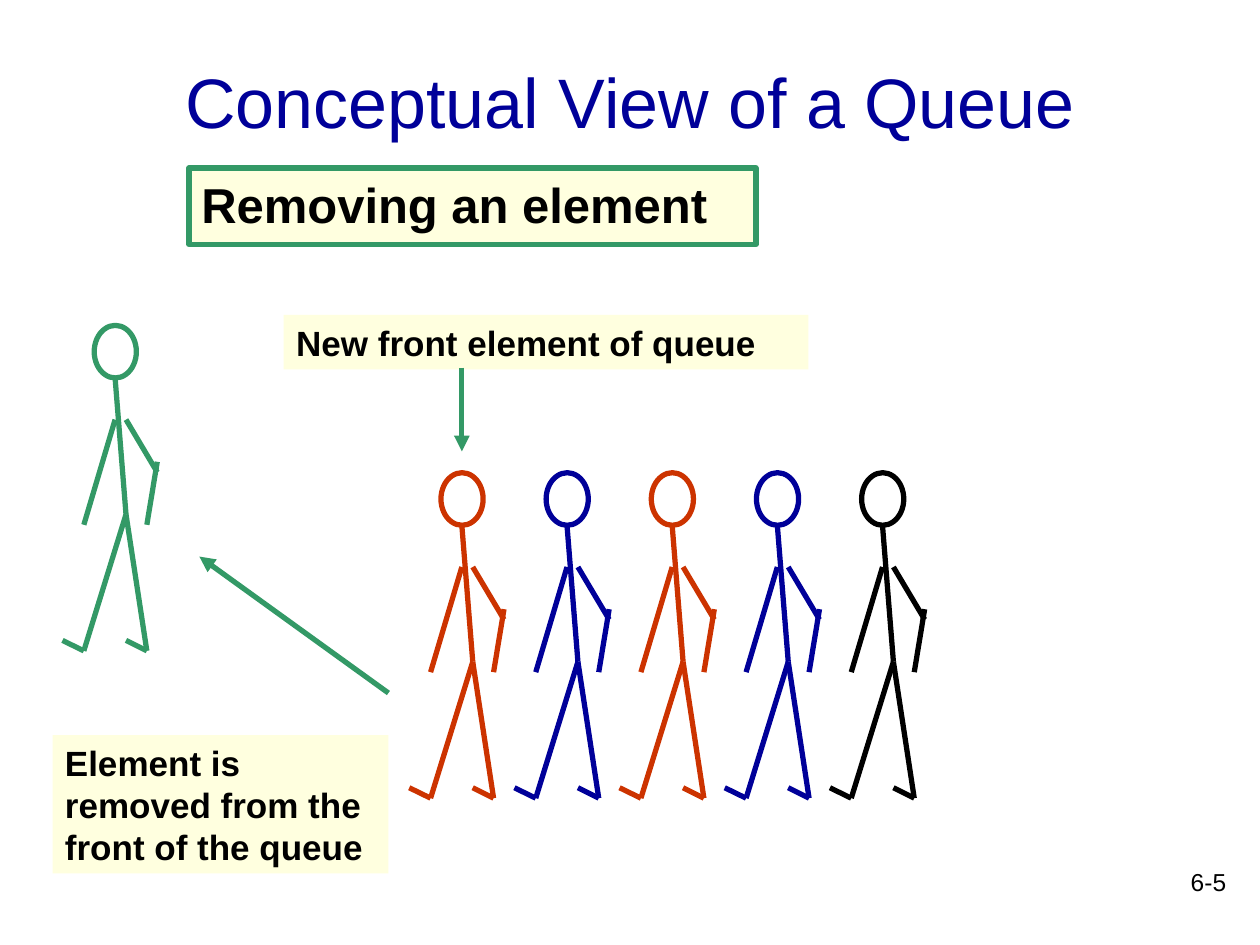
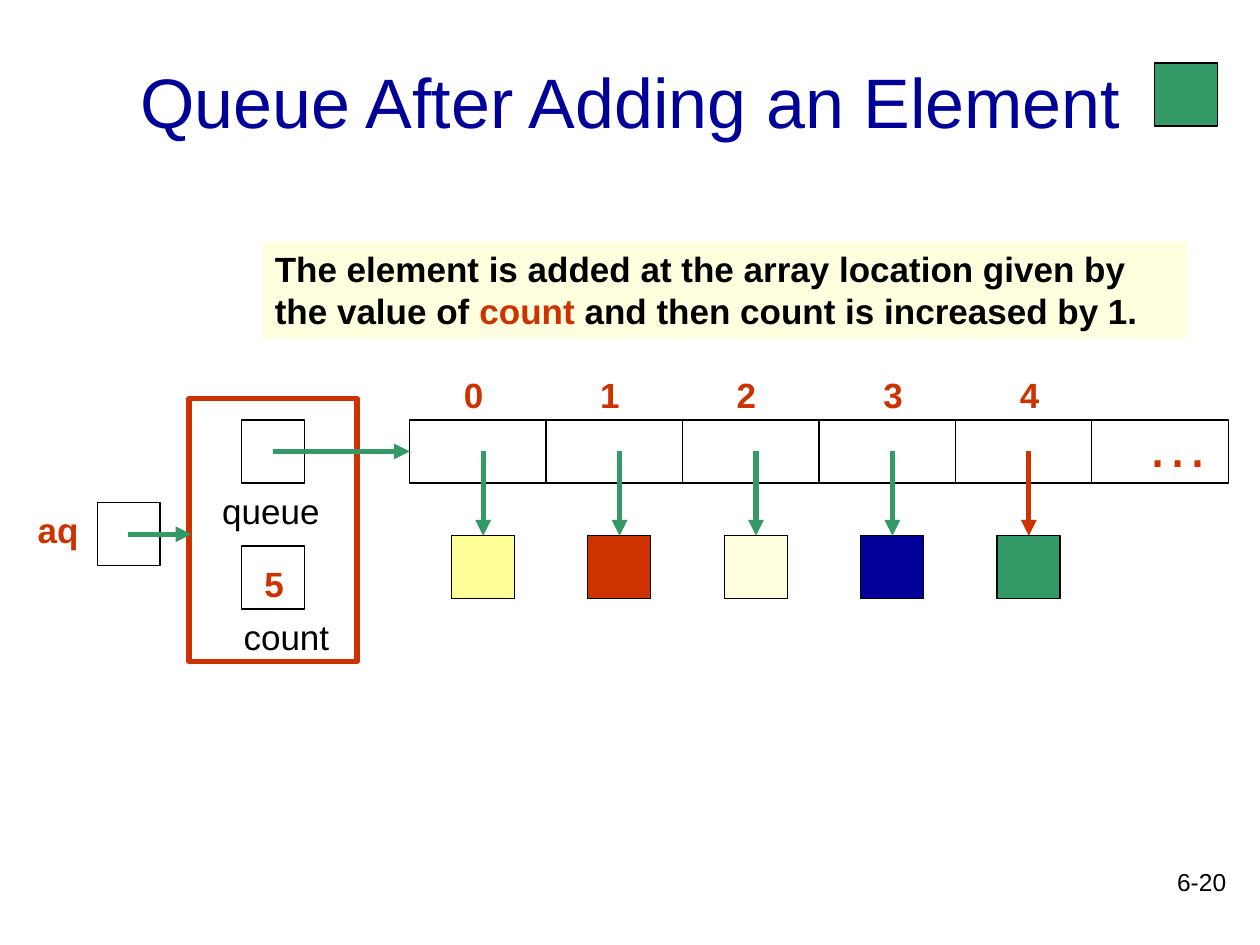
from lxml import etree
from pptx import Presentation
from pptx.dml.color import RGBColor as Rgb
from pptx.enum import shapes, text
from pptx.oxml.ns import qn
from pptx.util import Cm, Pt

HUES = {
    "navy": "000099",
    "red": "CC3300",
    "green": "339966",
    "cream": "FFFFDF",
    "yellow": "FFFF99",
    "black": "000000",
}
FONT = "Arial"
RECT = shapes.MSO_SHAPE.RECTANGLE
OVAL = shapes.MSO_SHAPE.OVAL


def box(page, x, y, wide, high, fill=None, edge=None, thick=0.75, kind=RECT,
        words=None, size=20, hue="black", bold=True, lead=50):
    place = Cm(x), Cm(y), Cm(wide), Cm(high)
    if kind is None:
        item = page.shapes.add_textbox(*place)
    else:
        item = page.shapes.add_shape(kind, *place)
        item.shadow.inherit = False
    if fill:
        item.fill.solid()
        item.fill.fore_color.rgb = Rgb.from_string(HUES[fill])
    else:
        item.fill.background()
    if edge:
        item.line.color.rgb = Rgb.from_string(HUES[edge])
        item.line.width = Pt(thick)
    else:
        item.line.fill.background()
    if words:
        frame = item.text_frame
        frame.word_wrap = True
        frame.vertical_anchor = text.MSO_ANCHOR.TOP
        para = frame.paragraphs[0]
        para.text = words
        para.alignment = text.PP_ALIGN.LEFT
        space = etree.SubElement(para._p.get_or_add_pPr(), qn("a:spcBef"))
        etree.SubElement(space, qn("a:spcPct")).set("val", str(lead * 1000))
        para.font.name = FONT
        para.font.size = Pt(size)
        para.font.bold = bold
        para.font.color.rgb = Rgb.from_string(HUES[hue])
    return item


def line(page, x1, y1, x2, y2, hue="green", arrow=True):
    item = page.shapes.add_connector(
        shapes.MSO_CONNECTOR.STRAIGHT, Cm(x1), Cm(y1), Cm(x2), Cm(y2))
    item.line.color.rgb = Rgb.from_string(HUES[hue])
    item.line.width = Pt(3)
    if arrow:
        tip = etree.SubElement(item.line._get_or_add_ln(), qn("a:tailEnd"))
        tip.set("type", "triangle")
    etree.SubElement(item._element.spPr, qn("a:effectLst"))


deck = Presentation()
deck.slide_width, deck.slide_height = Cm(25.4), Cm(19.05)

pages = []
for name, count in (("Conceptual View of a Queue", "6-5"),
                    ("Queue After Adding an Element", "6-20")):
    page = deck.slides.add_slide(deck.slide_layouts[5])
    title = page.shapes.title
    title.left, title.top = Cm(1.9), Cm(0.43)
    title.width, title.height = Cm(21.6), Cm(3.18)
    title.text_frame.vertical_anchor = text.MSO_ANCHOR.MIDDLE
    para = title.text_frame.paragraphs[0]
    para.text = name
    para.alignment = text.PP_ALIGN.CENTER
    para.font.name = FONT
    para.font.size = Pt(40)
    para.font.color.rgb = Rgb.from_string(HUES["navy"])
    foot = box(page, 19.69, 17.35, 5.28, 1.27, kind=None, words=count,
               size=14, bold=False, lead=0)
    foot.text_frame.paragraphs[0].alignment = text.PP_ALIGN.RIGHT
    pages.append(page)

line_up, array = pages

BONES = (
    (0.42, 1.06, 0.64, 3.81),
    (0.64, 3.81, -0.21, 6.56),
    (0.64, 3.81, 1.06, 6.56),
    (-0.21, 6.56, -0.64, 6.35),
    (1.06, 6.56, 0.64, 6.35),
    (0.42, 1.9, -0.21, 4.02),
    (0.64, 1.9, 1.27, 2.96),
    (1.27, 2.75, 1.06, 4.02),
)
folk = [(8.89 + 2.12 * i, 9.53, hue)
        for i, hue in enumerate(("red", "navy", "red", "navy", "black"))]
folk.append((1.9, 6.56, "green"))
for x, y, hue in folk:
    box(line_up, x, y, 0.85, 1.06, edge=hue, thick=3, kind=OVAL)
    for x1, y1, x2, y2 in BONES:
        line(line_up, x + x1, y + y1, x + x2, y + y2, hue, arrow=False)

box(line_up, 3.81, 3.39, 11.43, 1.54, "cream", "green", 3,
    words="Removing an element", size=28)
box(line_up, 5.72, 6.35, 10.58, 1.1, "cream", words="New front element of queue")
box(line_up, 1.06, 14.82, 6.77, 2.79, "cream",
    words="Element is removed from the front of the queue")
line(line_up, 7.83, 13.97, 4.02, 11.22)
line(line_up, 9.31, 7.41, 9.31, 9.1)

SIDE = 1.27
STEP = 2.75
ROW = 8.47
MID = 9.1

box(array, 3.81, 8.04, 3.39, 5.29, edge="red", thick=3)
for x, y in ((4.87, ROW), (4.87, 11.01), (1.96, 10.13)):
    box(array, x, y, SIDE, SIDE, edge="black")
for x, y, wide, word, hue, bold in (
        (4.23, 9.74, 2.75, "queue", "black", False),
        (4.66, 12.28, 2.33, "count", "black", False),
        (5.08, 11.22, 0.99, "5", "red", True),
        (0.51, 10.13, 1.88, "aq", "red", True)):
    box(array, x, y, wide, 1.1, kind=None, words=word, hue=hue, bold=bold)

for i in range(6):
    box(array, 8.26 + STEP * i, ROW, STEP, SIDE, edge="black")
for i, hue in enumerate(("yellow", "red", "cream", "navy", "green")):
    x = 9.1 + STEP * i
    nudge = 0.21 if i > 2 else 0
    box(array, x + nudge, 7.41, 0.99, 1.1, kind=None, words=str(i), hue="red")
    box(array, x, 10.8, SIDE, SIDE, hue, "black")
    line(array, x + 0.64, MID, x + 0.64, 10.8, "red" if i == 4 else "green")
box(array, 22.86, 8.04, 1.7, 1.78, kind=None, words="…", size=36,
    hue="red", bold=False)
box(array, 23.28, 1.27, SIDE, SIDE, "green", "black")
line(array, 5.5, MID, 8.26, MID)
line(array, 2.59, 10.77, 3.86, 10.77)

note = box(array, 5.29, 4.87, 18.63, 1.96, "cream",
           words="The element is added at the array location given by the value of ")
para = note.text_frame.paragraphs[0]
for word, hue in (("count ", "red"),
                  ("and then count is increased by 1.", "black")):
    run = para.add_run()
    run.text = word
    run.font.color.rgb = Rgb.from_string(HUES[hue])

deck.save("out.pptx")
